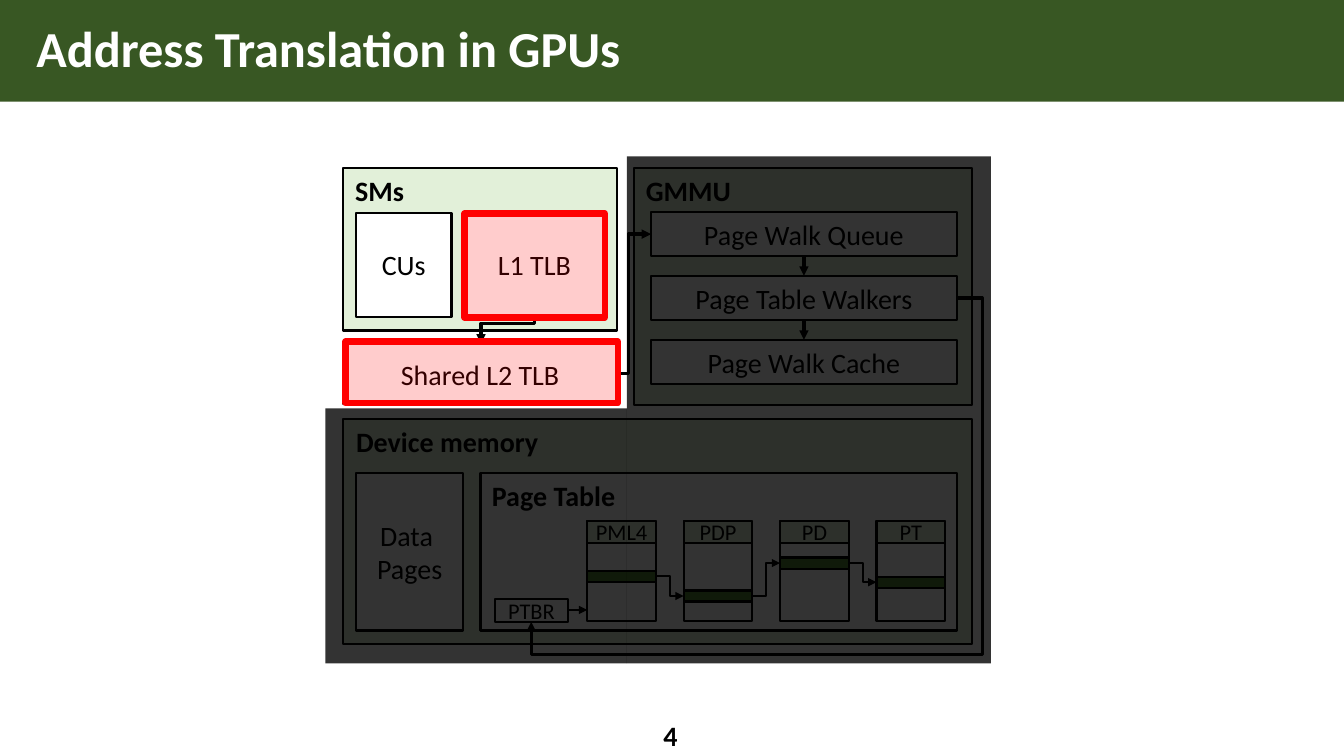
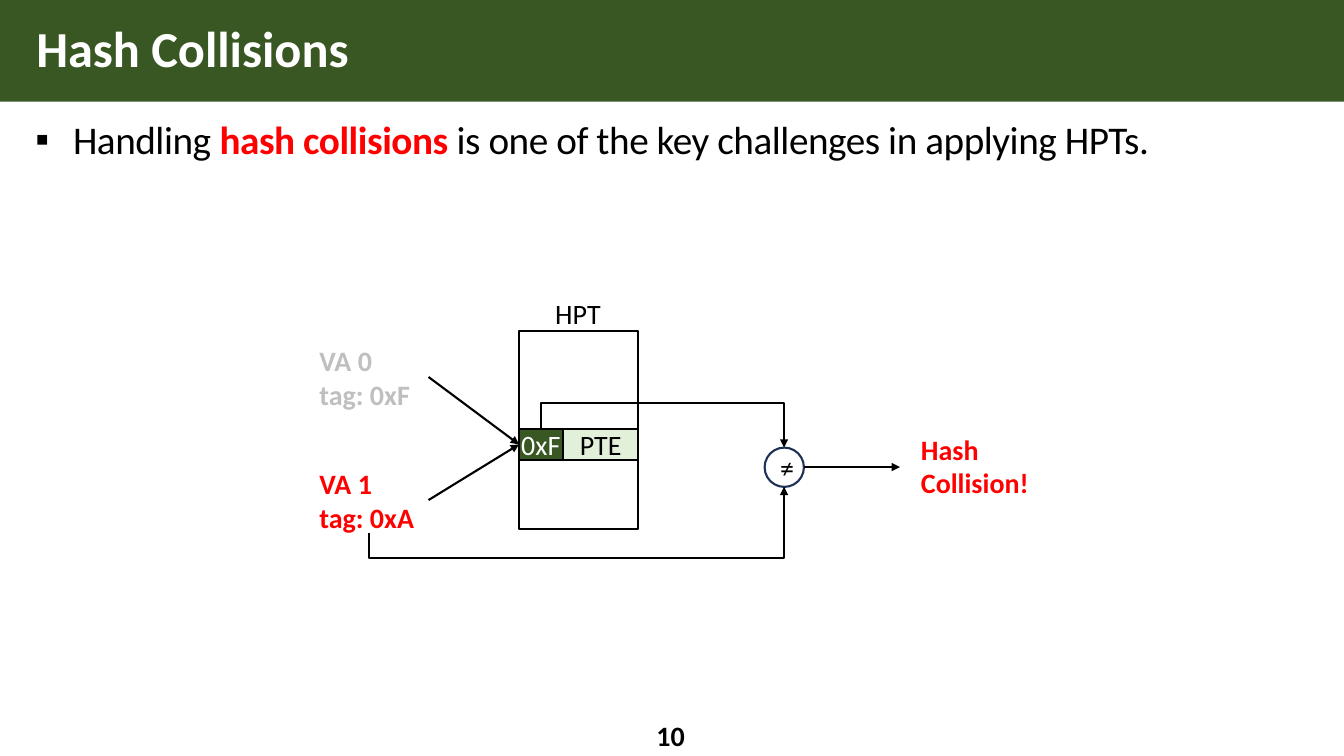
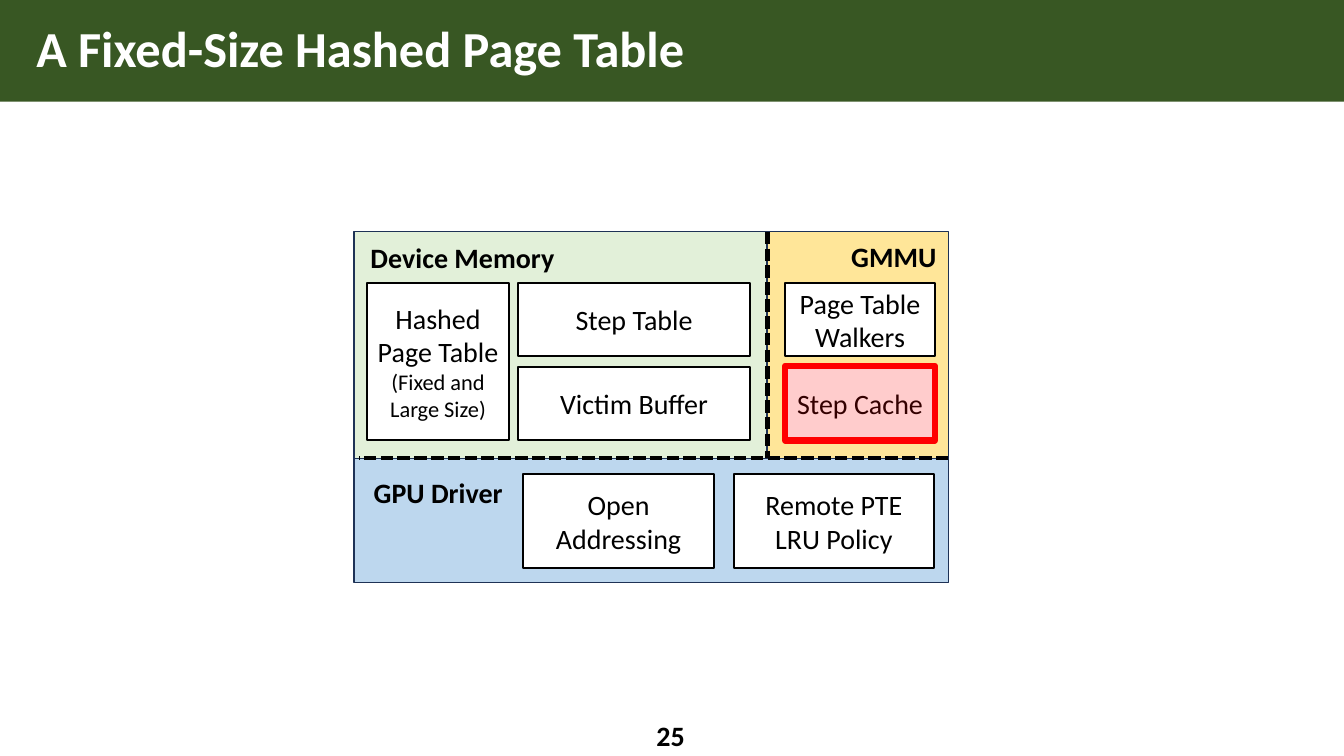
import lxml.etree
import pptx
import pptx.dml.color
import pptx.enum.dml
import pptx.enum.shapes
import pptx.enum.text
import pptx.oxml.ns
import pptx.util

Cm = pptx.util.Cm
Pt = pptx.util.Pt
qn = pptx.oxml.ns.qn
hex_color = pptx.dml.color.RGBColor.from_string
SHAPES = pptx.enum.shapes.MSO_SHAPE
CONNECTORS = pptx.enum.shapes.MSO_CONNECTOR
ALIGN = pptx.enum.text.PP_ALIGN
MIDDLE = pptx.enum.text.MSO_ANCHOR.MIDDLE

FONT = "Calibri"
BLACK, WHITE, RED, GRAY, NAVY = "000000", "FFFFFF", "FF0000", "BFBFBF", "1E3256"
DARK_GREEN, MID_GREEN, PALE_GREEN = "385723", "548235", "E2F0D9"
YELLOW, BLUE = "FFE699", "BDD7EE"


def add_box(slide, left, top, width, height, text="", fill=None, line=None, line_width=1.5,
            opacity=100, kind=SHAPES.RECTANGLE, size=20, bold=False, color=BLACK,
            align=ALIGN.CENTER, side_inset=0.25):
    place = Cm(left), Cm(top), Cm(width), Cm(height)
    if fill:
        shape = slide.shapes.add_shape(kind, *place)
        shape.shadow.inherit = False
        shape.fill.solid()
        shape.fill.fore_color.rgb = hex_color(fill)
        if opacity < 100:
            fill_color = shape._element.spPr.find(qn("a:solidFill"))[0]
            lxml.etree.SubElement(fill_color, qn("a:alpha"), val=str(opacity * 1000))
        if line:
            shape.line.color.rgb = hex_color(line)
            shape.line.width = Pt(line_width)
        else:
            shape.line.fill.background()
    else:
        shape = slide.shapes.add_textbox(*place)
    if text:
        frame = shape.text_frame
        frame.text = text
        frame.word_wrap = True
        frame.vertical_anchor = MIDDLE
        frame.margin_left = frame.margin_right = Cm(side_inset)
        for paragraph in frame.paragraphs:
            paragraph.alignment = align
            paragraph.font.name = FONT
            paragraph.font.size = Pt(size)
            paragraph.font.bold = bold
            paragraph.font.color.rgb = hex_color(color)
    return shape


def add_line(slide, start, end, width=1.5, arrow=True, bends=(), turn=0):
    kind = CONNECTORS.ELBOW if bends else CONNECTORS.STRAIGHT
    connector = slide.shapes.add_connector(kind, *[Cm(value) for value in start + end])
    connector.line.color.rgb = hex_color(BLACK)
    connector.line.width = Pt(width)
    properties = connector._element.spPr
    if arrow:
        outline = properties.find(qn("a:ln"))
        lxml.etree.SubElement(outline, qn("a:tailEnd"), type="triangle")
    else:
        connector.line.dash_style = pptx.enum.dml.MSO_LINE.SQUARE_DOT
    lxml.etree.SubElement(properties, qn("a:effectLst"))
    if bends:
        geometry = properties.find(qn("a:prstGeom"))
        geometry.set("prst", f"bentConnector{len(bends) + 2}")
        for number, bend in enumerate(bends, 1):
            lxml.etree.SubElement(geometry.find(qn("a:avLst")), qn("a:gd"),
                                  name=f"adj{number}", fmla=f"val {round(bend * 100000)}")
    if turn:
        across, down = end[0] - start[0], end[1] - start[1]
        connector.left = Cm((start[0] + end[0] - abs(down)) / 2)
        connector.top = Cm((start[1] + end[1] - abs(across)) / 2)
        connector.width, connector.height = Cm(abs(down)), Cm(abs(across))
        transform = properties.find(qn("a:xfrm"))
        transform.set("rot", str(turn % 4 * 5400000))
        transform.set("flipH", str(int(turn * down < 0)))
        transform.set("flipV", str(int(turn * across > 0)))


presentation = pptx.Presentation()
presentation.slide_width = Cm(33.87)
presentation.slide_height = Cm(19.05)
master = presentation.slide_master
master_title = master.placeholders[0]
master_title.left, master_title.top = Cm(0.66), Cm(0)
master_title.width, master_title.height = Cm(32.46), Cm(2.57)

slides = []
for title, page_number, layout_number in (
    ("Address Translation in GPUs", "4", 5),
    ("Hash Collisions", "10", 1),
    ("A Fixed-Size Hashed Page Table", "25", 5),
):
    slide = presentation.slides.add_slide(presentation.slide_layouts[layout_number])
    slide.shapes.title.text_frame.text = title
    slide.shapes.title.text_frame.vertical_anchor = MIDDLE
    paragraph = slide.shapes.title.text_frame.paragraphs[0]
    paragraph.alignment = ALIGN.LEFT
    paragraph.line_spacing = 0.9
    paragraph.font.name = FONT
    paragraph.font.size = Pt(36)
    paragraph.font.bold = True
    paragraph.font.color.rgb = hex_color(WHITE)
    add_box(slide, 15.06, 18.03, 3.68, 1.02, page_number, bold=True)
    slides.append(slide)
translation, collisions, fixed_table = slides

band = add_box(translation, 0, 0, 33.87, 2.56, fill=DARK_GREEN)
master.shapes._spTree.insert(2, band._element)

for left, top, width, height, label, label_width in (
    (8.64, 4.24, 6.92, 4.09, "SMs", 1.85),
    (15.98, 4.24, 8.51, 5.97, "GMMU", 2.74),
    (8.64, 10.57, 15.85, 5.66, "Device memory", 5.26),
    (12.11, 11.93, 12.01, 3.96, "Page Table", 3.68),
):
    panel_fill = WHITE if label == "Page Table" else PALE_GREEN
    add_box(translation, left, top, width, height, fill=panel_fill, line=BLACK)
    add_box(translation, left, top, label_width, 1.12, label, bold=True)

for left, top, width, height, text in (
    (8.97, 5.36, 2.41, 2.62, "CUs"),
    (11.68, 5.36, 3.58, 2.62, "L1 TLB"),
    (8.64, 8.66, 6.92, 1.52, "Shared L2 TLB"),
    (8.97, 11.93, 2.71, 3.96, "Data \nPages"),
):
    add_box(translation, left, top, width, height, text, WHITE, BLACK)

for index, text in enumerate(("Page Walk Queue", "Page Table Walkers", "Page Walk Cache")):
    top = 5.34 + 1.61 * index
    add_box(translation, 16.41, top, 7.7, 1.12, text, WHITE, BLACK)
    if index:
        add_line(translation, (20.26, top - 0.49), (20.26, top), 2.25)

previous_end = None
for index, (level, entry_top) in enumerate(
    (("PML4", 14.38), ("PDP", 14.88), ("PD", 14.05), ("PT", 14.53))
):
    left = 14.8 + 2.43 * index
    add_box(translation, left, 13.13, 1.73, 2.51, fill=WHITE, line=BLACK)
    add_box(translation, left, 13.13, 1.73, 0.55, level, PALE_GREEN, BLACK, size=16, side_inset=0)
    add_box(translation, left, entry_top, 1.73, 0.28, fill=MID_GREEN, line=BLACK)
    entry_middle = entry_top + 0.14
    if previous_end:
        add_line(translation, previous_end, (left, entry_middle), bends=(0.5,))
    previous_end = (left + 1.73, entry_middle)

add_box(translation, 12.47, 15.09, 1.85, 0.58, "PTBR", WHITE, BLACK, size=16, side_inset=0)
add_line(translation, (14.32, 15.37), (14.8, 15.37))
add_line(translation, (24.11, 7.51), (13.39, 15.67), 2.25, bends=(-0.06, 1.1))
add_line(translation, (15.57, 9.42), (16.41, 5.9), 2.25, bends=(0.32,))
add_line(translation, (13.46, 7.98), (12.12, 8.66), 2.25, bends=(0.25,), turn=1)

add_box(translation, 8.2, 10.29, 7.6, 6.43, fill=BLACK, opacity=80)
add_box(translation, 15.8, 3.94, 9.17, 12.78, fill=BLACK, opacity=80)

body = collisions.placeholders[1]
body.left, body.top, body.width, body.height = Cm(0.69), Cm(2.84), Cm(32.46), Cm(14.66)
frame = body.text_frame
frame.margin_left, frame.margin_top = Cm(0.2), Cm(0.2)
frame.margin_right, frame.margin_bottom = Cm(0.1), Cm(0)
paragraph = frame.paragraphs[0]
bullet_properties = paragraph._p.get_or_add_pPr()
bullet_properties.set("marL", str(Cm(0.95)))
bullet_properties.set("indent", str(Cm(-0.95)))
lxml.etree.SubElement(bullet_properties, qn("a:buChar"), char="▪")
paragraph.line_spacing = 0.9
paragraph.space_before = Pt(0)
paragraph.font.name = FONT
paragraph.font.size = Pt(28)
for text, color in (
    ("Handling ", BLACK),
    ("hash collisions", RED),
    (" is one of the key challenges in applying HPTs.", BLACK),
):
    run = paragraph.add_run()
    run.text = text
    run.font.bold = color == RED
    run.font.color.rgb = hex_color(color)
    run._r.get_or_add_rPr().set("spc", "-30")

add_box(collisions, 13.08, 7.47, 2.97, 0.86, "HPT")
add_box(collisions, 13.08, 8.34, 3, 5, fill=WHITE, line=BLACK)
add_box(collisions, 14.2, 10.8, 1.88, 0.79, "PTE", PALE_GREEN, BLACK)
add_box(collisions, 13.08, 10.8, 1.1, 0.79, "0xF", DARK_GREEN, BLACK, color=WHITE, side_inset=0)
for left, top, width, height, text, color in (
    (7.8, 8.59, 2.97, 1.85, "VA 0\ntag: 0xF", GRAY),
    (7.8, 11.76, 2.97, 1.68, "VA 1\ntag: 0xA", RED),
    (22.96, 10.9, 4.72, 1.68, "Hash Collision!", RED),
):
    add_box(collisions, left, top, width, height, text, bold=True, color=color, align=ALIGN.LEFT)
add_box(collisions, 19.27, 11.28, 0.99, 0.99, "≠", WHITE, NAVY, kind=SHAPES.OVAL)
for start_top in (9.5, 12.6):
    add_line(collisions, (10.8, start_top), (13.08, 11.2))
add_line(collisions, (9.3, 13.44), (19.76, 12.27), bends=(-0.54,), turn=1)
add_line(collisions, (13.64, 10.8), (19.76, 11.28), bends=(-1.33,), turn=-1)
add_line(collisions, (20.26, 11.77), (22.68, 11.77))

for left, top, width, height, fill in (
    (8.92, 11.56, 14.98, 3.12, BLUE),
    (19.33, 5.84, 4.57, 5.72, YELLOW),
    (8.92, 5.84, 10.41, 5.72, PALE_GREEN),
):
    add_box(fixed_table, left, top, width, height, fill=fill, line=NAVY, line_width=1)
for left, top, width, label in (
    (9.04, 5.97, 5.23, "Device Memory"),
    (21.18, 5.94, 2.69, "GMMU"),
    (9.14, 11.89, 3.81, "GPU Driver"),
):
    add_box(fixed_table, left, top, width, 1.04, label, bold=True)
add_line(fixed_table, (23.9, 11.55), (9.04, 11.55), 3, arrow=False)
add_line(fixed_table, (19.34, 5.84), (19.34, 11.55), 3, arrow=False)
for left, top, width, height, text in (
    (13.06, 7.13, 5.84, 1.85, "Step Table"),
    (13.06, 9.25, 5.84, 1.85, "Victim Buffer"),
    (19.79, 7.13, 3.77, 1.85, "Page Table Walkers"),
    (19.79, 9.25, 3.77, 1.85, "Step Cache"),
    (13.19, 11.94, 4.8, 2.38, "Open Addressing"),
    (18.49, 11.94, 5.05, 2.38, "Remote PTE LRU Policy"),
):
    add_box(fixed_table, left, top, width, height, text, WHITE, BLACK)
hashed_table = add_box(fixed_table, 9.25, 7.13, 3.58, 3.97,
                       "Hashed Page Table\n(Fixed and Large Size)", WHITE, BLACK)
hashed_table.text_frame.paragraphs[1].font.size = Pt(16)

for slide, left, top, width, height in (
    (translation, 11.71, 5.38, 3.53, 2.62),
    (translation, 8.71, 8.61, 6.86, 1.55),
    (fixed_table, 19.79, 9.22, 3.77, 1.88),
):
    add_box(slide, left, top, width, height, fill=RED, line=RED, line_width=4.5, opacity=20)

presentation.save("out.pptx")
